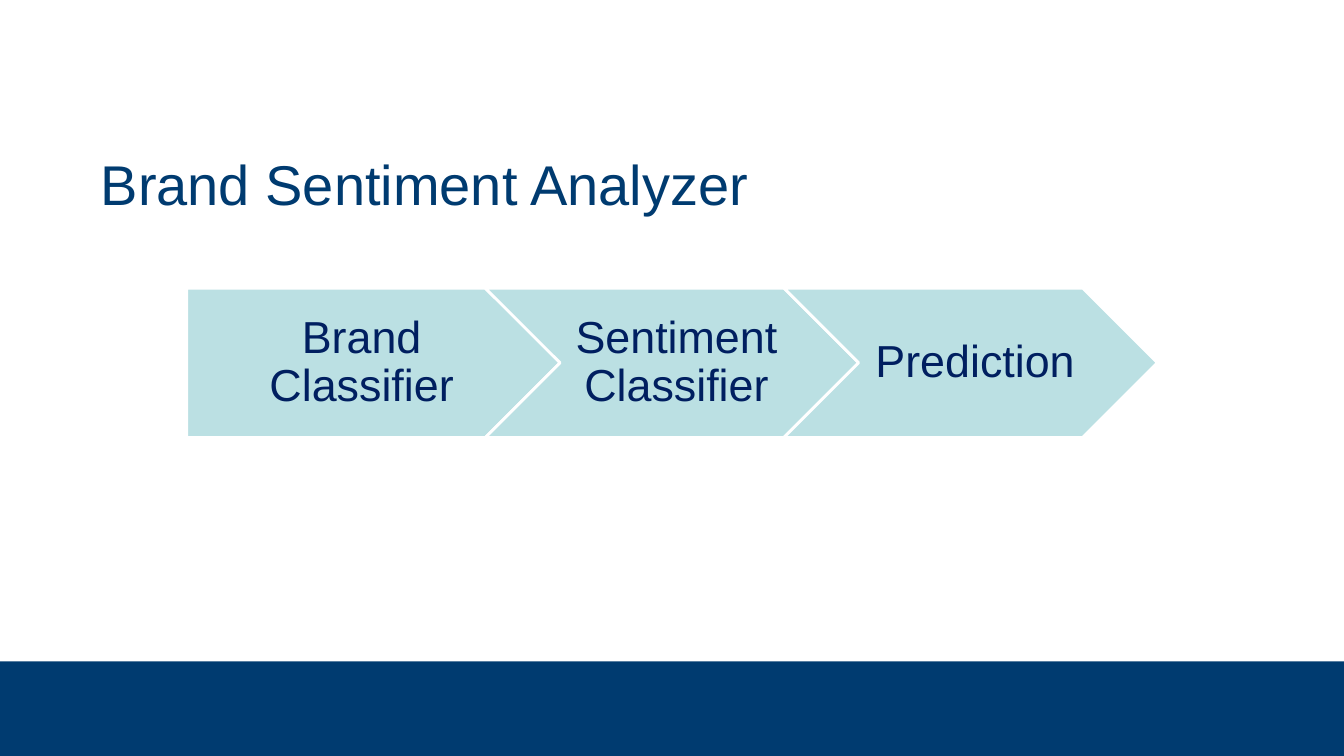
from pptx import Presentation
from pptx.dml.color import RGBColor
from pptx.enum.shapes import MSO_SHAPE
from pptx.enum.text import MSO_ANCHOR, MSO_AUTO_SIZE, PP_ALIGN
from pptx.util import Inches, Pt

NAVY = RGBColor(0x00, 0x3B, 0x70)
INK = RGBColor(0x00, 0x1F, 0x60)
AQUA = RGBColor(0xBB, 0xE0, 0xE3)
WHITE = RGBColor(0xFF, 0xFF, 0xFF)

COLUMNS = 18
STEP_WIDTH, STEP_HEIGHT, STEP_PITCH = 5, 2, 4
STEPS = ["Brand Classifier", "Sentiment Classifier", "Prediction"]


class ProcessSlide:
    """A title-only slide measured in square grid units, 18 to its width."""

    font_name = "Arial"

    def __init__(self, presentation):
        self.unit = presentation.slide_width / COLUMNS
        self.rows = presentation.slide_height / self.unit
        self.slide = presentation.slides.add_slide(presentation.slide_layouts[5])

    def to_lengths(self, *units):
        return [round(value * self.unit) for value in units]

    def set_text(self, shape, text, size, color, line_spacing, alignment, insets):
        frame = shape.text_frame
        frame.text = text
        frame.word_wrap = True
        frame.auto_size = MSO_AUTO_SIZE.NONE
        frame.vertical_anchor = MSO_ANCHOR.MIDDLE
        (frame.margin_left, frame.margin_top,
         frame.margin_right, frame.margin_bottom) = map(Inches, insets)
        paragraph = frame.paragraphs[0]
        paragraph.alignment = alignment
        paragraph.line_spacing = line_spacing
        font = paragraph.runs[0].font
        font.name, font.size, font.bold = self.font_name, Pt(size), False
        font.color.rgb = color

    def add_title(self, text, *box):
        title = self.slide.shapes.title
        title.left, title.top, title.width, title.height = self.to_lengths(*box)
        self.set_text(title, text, 40, NAVY, 2.33, PP_ALIGN.LEFT, (0, 0, 0, 0))

    def add_block(self, preset, fill, *box):
        shape = self.slide.shapes.add_shape(preset, *self.to_lengths(*box))
        shape.shadow.inherit = False
        shape.fill.solid()
        shape.fill.fore_color.rgb = fill
        shape.line.fill.background()
        return shape

    def add_footer_band(self, top):
        self.add_block(MSO_SHAPE.RECTANGLE, NAVY, 0, top, COLUMNS, self.rows - top)

    def add_process(self, steps, top):
        """Centre a row of interlocking arrows, the first with a flat tail."""
        row_width = STEP_PITCH * (len(steps) - 1) + STEP_WIDTH
        left = (COLUMNS - row_width) / 2
        for index, text in enumerate(steps):
            preset = MSO_SHAPE.CHEVRON if index else MSO_SHAPE.PENTAGON
            arrow = self.add_block(preset, AQUA, left + index * STEP_PITCH, top,
                                   STEP_WIDTH, STEP_HEIGHT)
            arrow.line.color.rgb = WHITE
            arrow.line.width = Pt(2)
            left_inset = 0.14 if index else 0.19
            self.set_text(arrow, text, 32, INK, 0.9, PP_ALIGN.CENTER,
                          (left_inset, 0.09, 0.05, 0.09))


def main():
    presentation = Presentation()
    presentation.slide_width = Inches(13.33)
    presentation.slide_height = Inches(7.5)
    page = ProcessSlide(presentation)
    page.add_footer_band(8.86)
    page.add_title("Brand Sentiment Analyzer", 1.35, 1.01, 15.3, 1.69)
    page.add_process(STEPS, 3.86)
    presentation.save("out.pptx")


if __name__ == "__main__":
    main()
